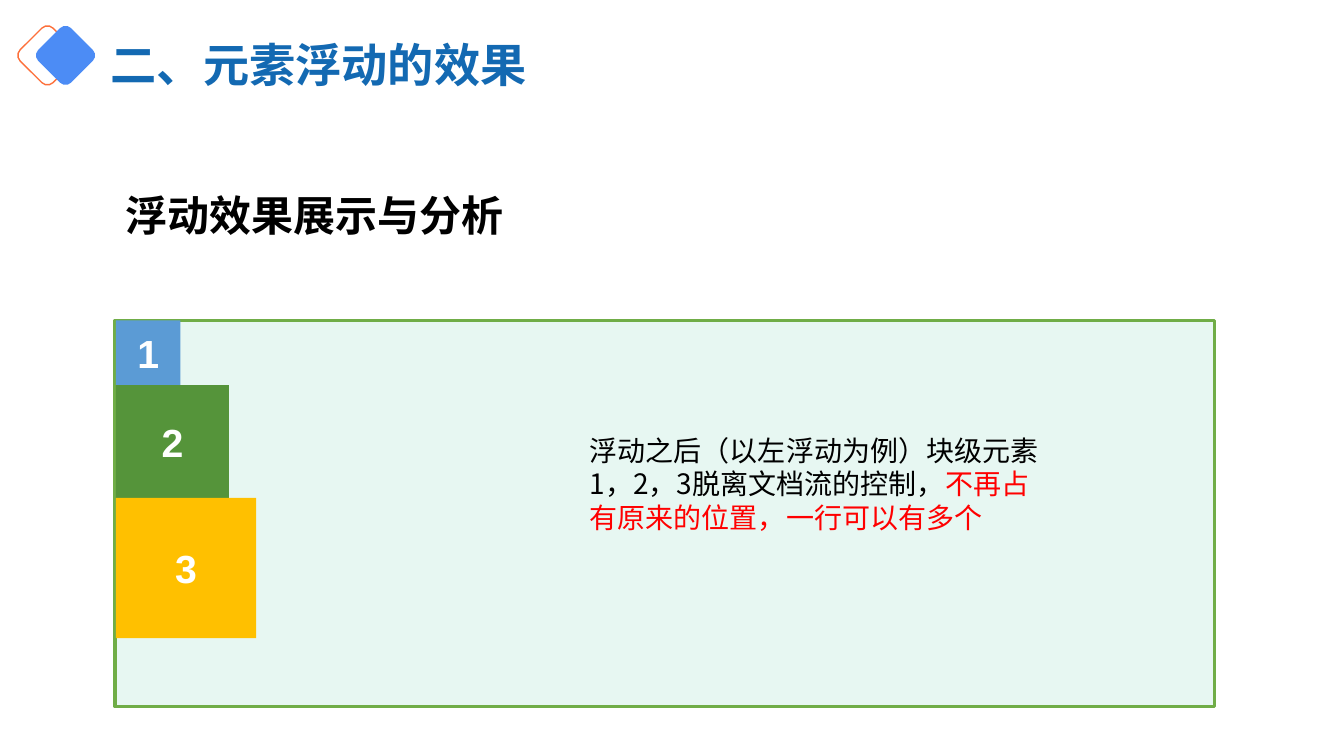
from pptx import Presentation
from pptx.dml.color import RGBColor
from pptx.enum.shapes import MSO_SHAPE
from pptx.enum.text import MSO_ANCHOR, MSO_AUTO_SIZE, PP_ALIGN
from pptx.oxml.ns import qn
from pptx.util import Inches, Pt
from lxml.etree import SubElement

COLORS = {
    "title": "1369B2", "black": "000000", "red": "FF0000", "white": "FFFFFF",
    "orange": "FD703B", "diamond": "4C8CF5", "panel": "E7F7F2",
    "border": "70AD47", "blue": "5B9BD5", "green": "55943A", "yellow": "FFC000",
}
CJK = "Noto Sans CJK SC"


def color(name):
    """Return the named colour."""
    return RGBColor.from_string(COLORS[name])


def add_box(s, kind, box, fill=None, line=None, width=1):
    """Add a preset shape with an optional fill and outline."""
    sp = s.shapes.add_shape(kind, *map(Inches, box))
    sp.shadow.inherit = False
    if fill:
        sp.fill.solid()
        sp.fill.fore_color.rgb = color(fill)
    else:
        sp.fill.background()
    if line:
        sp.line.color.rgb = color(line)
        sp.line.width = Pt(width)
    else:
        sp.line.fill.background()
    return sp


def add_text(s, box, runs, size, bold=False, grow=False):
    """Add a wrapped paragraph from (text, colour) pairs."""
    tf = s.shapes.add_textbox(*map(Inches, box)).text_frame
    tf.word_wrap = True
    if grow:
        tf.auto_size = MSO_AUTO_SIZE.SHAPE_TO_FIT_TEXT
    p = tf.paragraphs[0]
    p.line_spacing = Pt(round(size * 1.22))
    p.font.size, p.font.bold, p.font.name = Pt(size), bold, CJK
    for text, name in runs:
        r = p.add_run()
        r.text = text
        r.font.color.rgb = color(name)
        SubElement(r.font._element, qn("a:ea")).set("typeface", CJK)


def add_header(s, x, y, w, h):
    """Place the two diamonds and the slide title."""
    side = 0.46
    for dx, fill, line in ((0, None, "orange"), (0.18, "diamond", None)):
        sp = add_box(s, MSO_SHAPE.ROUNDED_RECTANGLE,
                     (x + dx, y + 0.01, side, side), fill, line)
        sp.rotation = 45
    indent = 0.76
    add_text(s, (x + indent, y, w - indent, h),
             [("二、元素浮动的效果", "title")], 33, True, True)


def add_float_demo(s, x, y, w, h):
    """Place the container, its stacked blocks and the explanation."""
    add_box(s, MSO_SHAPE.RECTANGLE, (x, y, w, h), "panel", "border", 2.25)
    top = y
    blocks = ((0.64, "blue"), (1.12, "green"), (1.39, "yellow"))
    for number, (side, fill) in enumerate(blocks, 1):
        sp = add_box(s, MSO_SHAPE.RECTANGLE, (x + 0.01, top, side, side), fill)
        top += side
        tf = sp.text_frame
        tf.vertical_anchor = MSO_ANCHOR.MIDDLE
        p = tf.paragraphs[0]
        p.text = str(number)
        p.alignment = PP_ALIGN.CENTER
        p.font.size, p.font.bold, p.font.name = Pt(28), True, "Arial"
        p.font.color.rgb = color("white")
    add_text(s, (x + 4.61, y + 1.07, 4.78, 2.29), [
        ("浮动之后（以左浮动为例）块级元素1，2，3脱离文档流的控制，", "black"),
        ("不再占有原来的位置，一行可以有多个", "red"),
    ], 20)


def main():
    """Build and save the slide."""
    prs = Presentation()
    prs.slide_width, prs.slide_height = Inches(13.33), Inches(7.5)
    s = prs.slides.add_slide(prs.slide_layouts[6])
    add_float_demo(s, 1.14, 3.18, 10.91, 3.83)
    add_header(s, 0.24, 0.31, 8.25, 0.65)
    add_text(s, (1.15, 1.82, 7.01, 0.61),
             [("浮动效果展示与分析", "black")], 30, True, True)
    prs.save("out.pptx")


if __name__ == "__main__":
    main()
